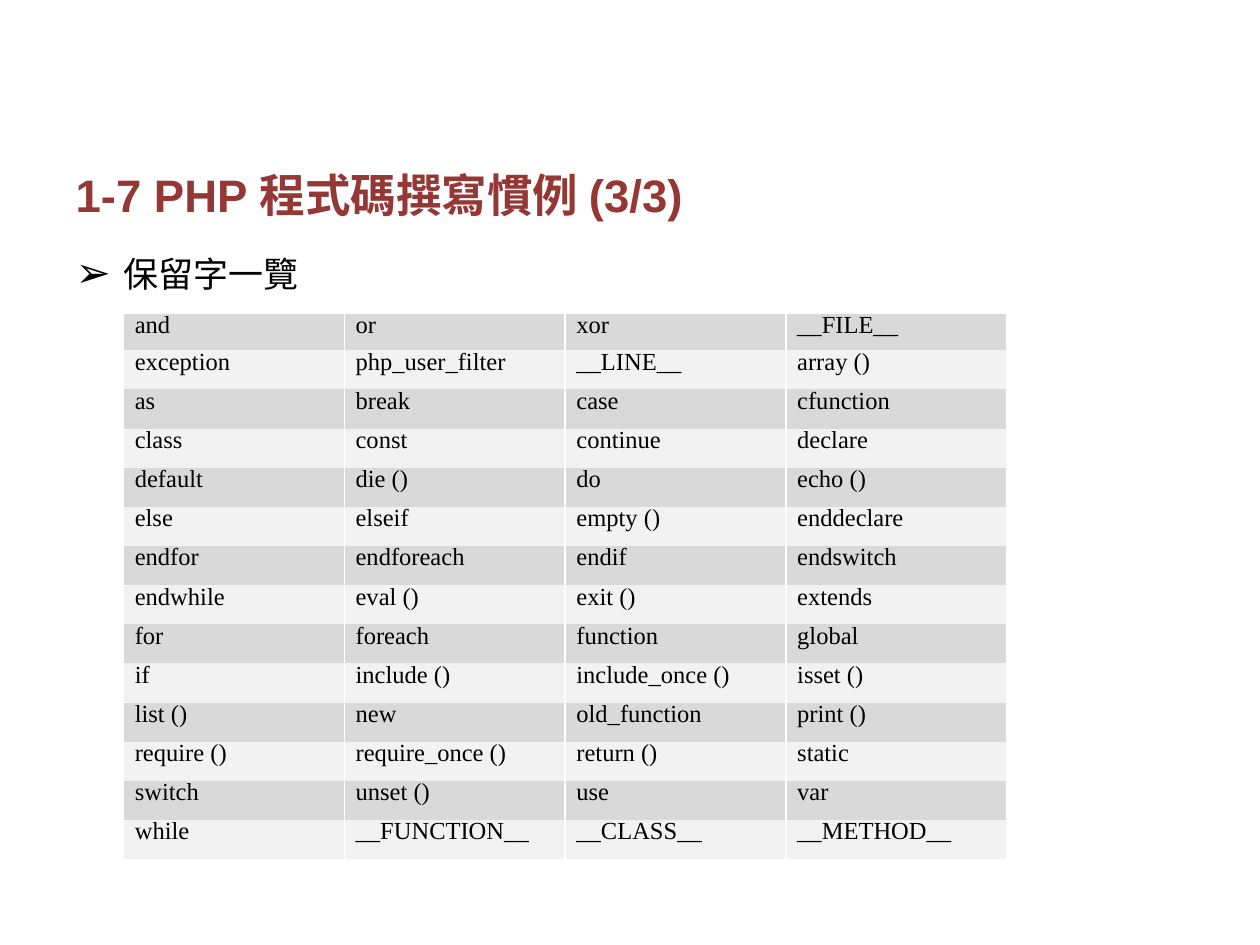
from dataclasses import dataclass

from lxml.etree import SubElement
from pptx import Presentation
from pptx.dml.color import RGBColor
from pptx.enum.text import MSO_ANCHOR, PP_ALIGN
from pptx.oxml.ns import qn
from pptx.slide import Slide
from pptx.util import Inches, Pt

WIDTH, HEIGHT = Inches(10), Inches(7.5)
COLORS = {
    "title": "953735",
    "text": "000000",
    "dark_band": "D9D9D9",
    "light_band": "F2F2F2",
    "divider": "FFFFFF",
}
RESERVED_WORDS = [
    ["and", "or", "xor", "__FILE__"],
    ["exception", "php_user_filter", "__LINE__", "array ()"],
    ["as", "break", "case", "cfunction"],
    ["class", "const", "continue", "declare"],
    ["default", "die ()", "do", "echo ()"],
    ["else", "elseif", "empty ()", "enddeclare"],
    ["endfor", "endforeach", "endif", "endswitch"],
    ["endwhile", "eval ()", "exit ()", "extends"],
    ["for", "foreach", "function", "global"],
    ["if", "include ()", "include_once ()", "isset ()"],
    ["list ()", "new", "old_function", "print ()"],
    ["require ()", "require_once ()", "return ()", "static"],
    ["switch", "unset ()", "use", "var"],
    ["while", "__FUNCTION__", "__CLASS__", "__METHOD__"],
]


@dataclass
class SlideBuilder:
    """Holds the style and the current slide; boxes are in inches."""

    slide: Slide
    heading_font: str = "Arial"
    table_font: str = "Times New Roman"

    def place(self, shape, box):
        shape.left, shape.top, shape.width, shape.height = map(Inches, box)

    def format(self, paragraph, font_name, size, color, bold=False):
        paragraph.alignment = PP_ALIGN.JUSTIFY
        font = paragraph.font
        font.name, font.size, font.bold = font_name, Pt(size), bold
        font.color.rgb = RGBColor.from_string(COLORS[color])

    def space(self, paragraph, before, after, margin, indent=0):
        paragraph.space_before, paragraph.space_after = Pt(before), Pt(after)
        properties = paragraph._p.get_or_add_pPr()
        properties.set("marL", str(Inches(margin)))
        properties.set("indent", str(Inches(indent)))
        return properties

    def title(self, text, box):
        shape = self.slide.shapes.title
        self.place(shape, box)
        shape.text_frame.text = text
        shape.text_frame.vertical_anchor = MSO_ANCHOR.MIDDLE
        self.format(shape.text_frame.paragraphs[0], self.heading_font, 26, "title", True)

    def bullet(self, text, box):
        shape = self.slide.placeholders[1]
        self.place(shape, box)
        shape.text_frame.text = text
        paragraph = shape.text_frame.paragraphs[0]
        properties = self.space(paragraph, 3, 12, 0.38, -0.38)
        SubElement(properties, qn("a:buSzPct"), val="120000")
        SubElement(properties, qn("a:buFont"), typeface=self.heading_font)
        SubElement(properties, qn("a:buChar"), char="➢")
        self.format(paragraph, self.heading_font, 20, "text")

    def table(self, rows, box, first_row_height):
        table = self.slide.shapes.add_table(
            len(rows), len(rows[0]), *map(Inches, box)
        ).table
        table.first_row = table.horz_banding = False
        row_height = (box[3] - first_row_height) / (len(rows) - 1)
        for index, words in enumerate(rows):
            table.rows[index].height = Inches(row_height if index else first_row_height)
            band = "light_band" if index % 2 else "dark_band"
            for column, word in enumerate(words):
                self.cell(table.cell(index, column), word, band)

    def cell(self, cell, word, band):
        self.borders(cell)
        cell.fill.solid()
        cell.fill.fore_color.rgb = RGBColor.from_string(COLORS[band])
        cell.margin_left = cell.margin_right = 0
        cell.margin_top, cell.margin_bottom = Inches(0.02), Inches(0.04)
        cell.text = word
        paragraph = cell.text_frame.paragraphs[0]
        self.space(paragraph, 2, 2.5, 0.09)
        paragraph.line_spacing = Pt(13)
        self.format(paragraph, self.table_font, 14, "text")

    def borders(self, cell):
        """Draw vertical dividers and leave the horizontal edges open."""
        properties = cell._tc.get_or_add_tcPr()
        for side in ("lnL", "lnR"):
            line = SubElement(properties, qn(f"a:{side}"), w=str(Pt(1)))
            fill = SubElement(line, qn("a:solidFill"))
            SubElement(fill, qn("a:srgbClr"), val=COLORS["divider"])
        for side in ("lnT", "lnB"):
            line = SubElement(properties, qn(f"a:{side}"), w="0")
            SubElement(line, qn("a:noFill"))


def main():
    presentation = Presentation()
    presentation.slide_width, presentation.slide_height = WIDTH, HEIGHT
    builder = SlideBuilder(presentation.slides.add_slide(presentation.slide_layouts[1]))
    builder.title("1-7 PHP 程式碼撰寫慣例 (3/3)", (0.5, 1.14, 9, 0.81))
    builder.bullet("保留字一覽", (0.5, 1.95, 9, 4.95))
    builder.table(RESERVED_WORDS, (0.98, 2.49, 7.01, 4.33), first_row_height=0.29)
    presentation.save("out.pptx")


if __name__ == "__main__":
    main()
